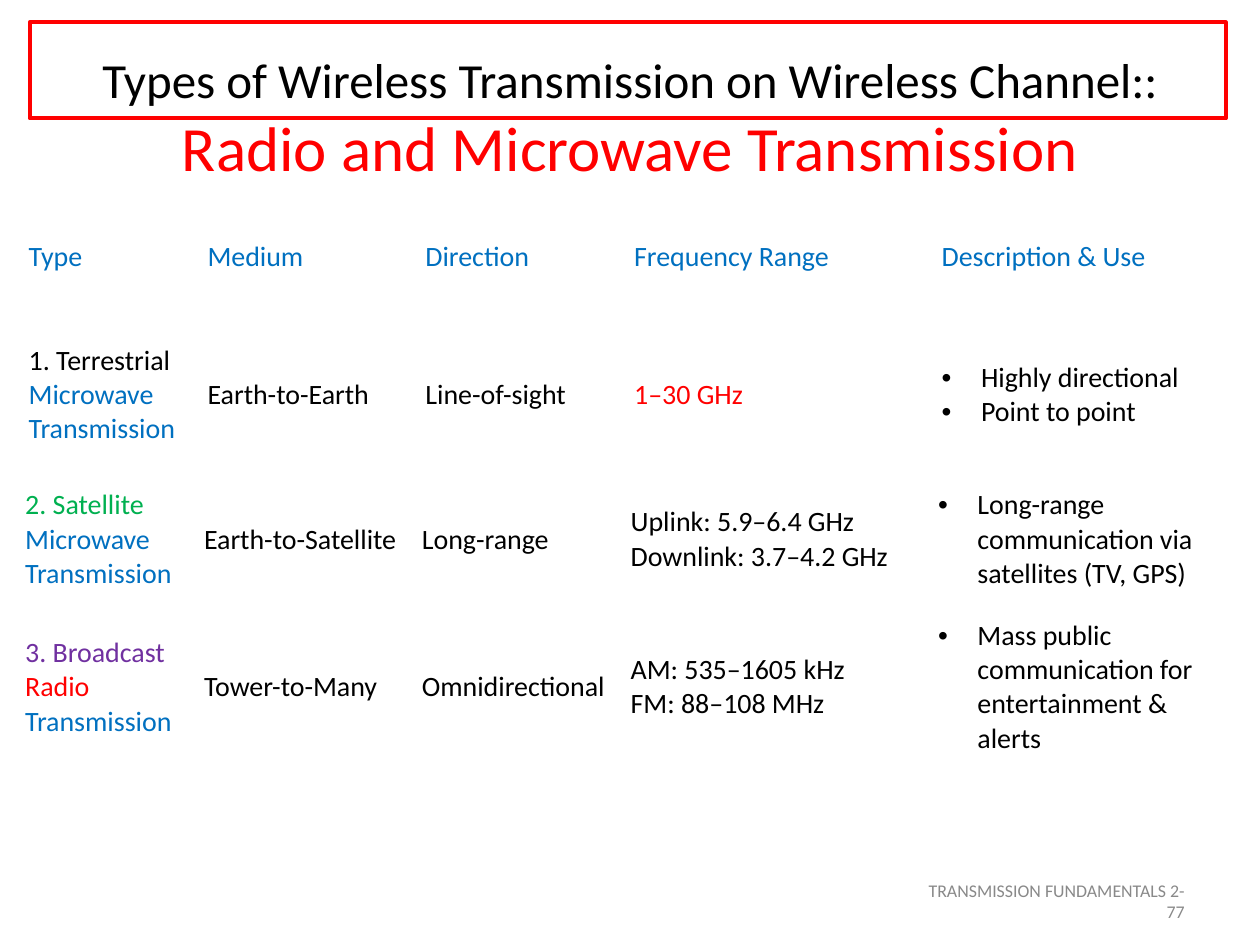
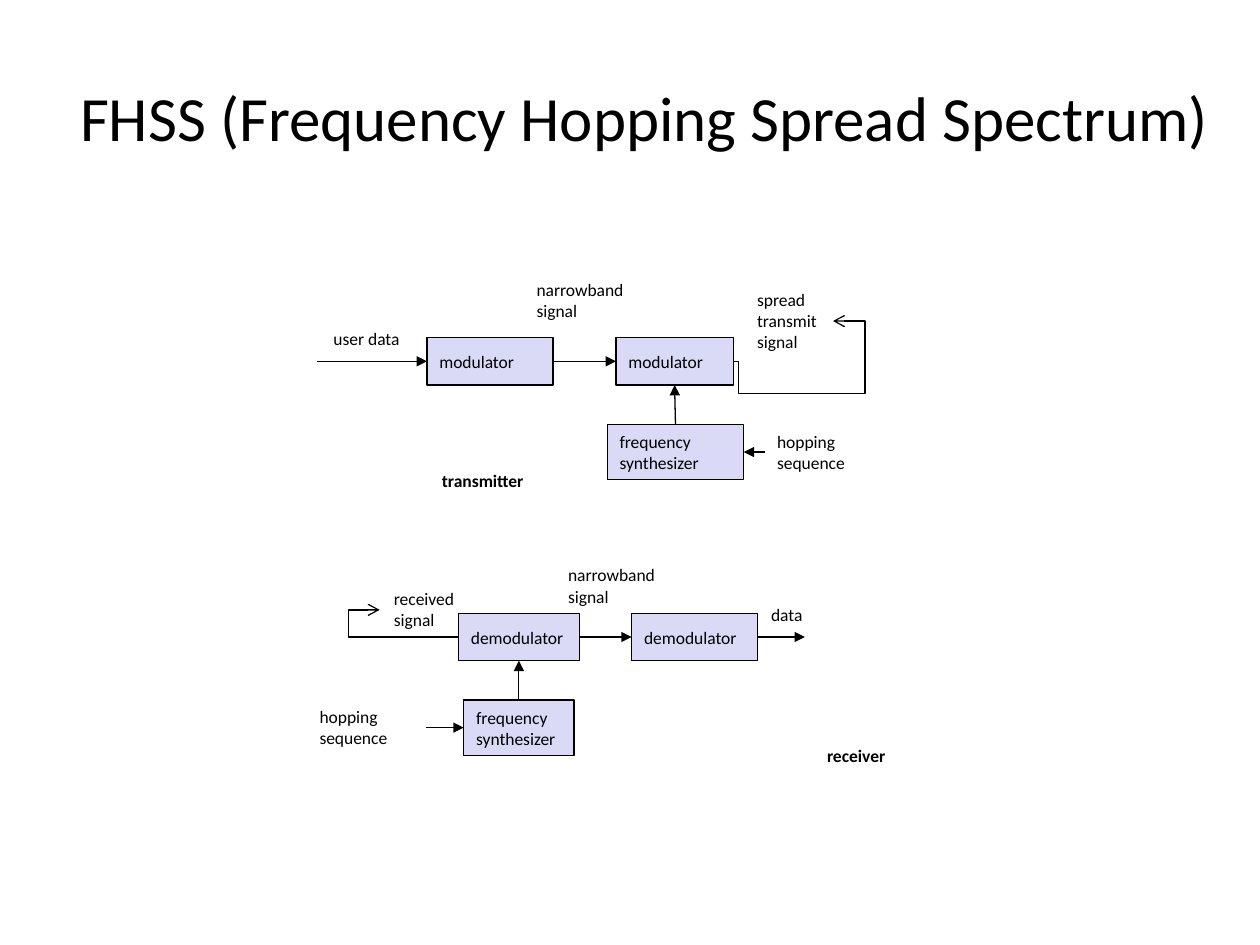
import pptx
import pptx.dml.color
import pptx.enum.shapes
import pptx.enum.text
import pptx.oxml
import pptx.oxml.ns
import pptx.util

Pt = pptx.util.Pt
RGB = pptx.dml.color.RGBColor
ANCHOR = pptx.enum.text.MSO_ANCHOR
ALIGN = pptx.enum.text.PP_ALIGN
FIT = pptx.enum.text.MSO_AUTO_SIZE
LINK = pptx.enum.shapes.MSO_CONNECTOR
RECT = pptx.enum.shapes.MSO_SHAPE.RECTANGLE

BLACK = RGB(0, 0, 0)
RED = RGB(255, 0, 0)
BLUE = RGB(0, 0x70, 0xC0)
GREEN = RGB(0, 0xB0, 0x50)
PURPLE = RGB(0x70, 0x30, 0xA0)
GRAY = RGB(0x89, 0x89, 0x89)
LILAC = RGB(0xDA, 0xDA, 0xF6)

FONT = "Calibri"
FRAME = dict(margin_left=Pt(7.2), margin_right=Pt(7.2),
             margin_top=Pt(3.6), margin_bottom=Pt(3.6))
TOP, LEFT, BOTTOM, RIGHT = 0, 1, 2, 3
COLS = (102.2, 124.5, 119.3, 175.7, 181.5)

HEADS = [[[(head, BLUE)]] for head in
         ("Type", "Medium", "Direction", "Frequency Range", "Description & Use")]


def kind(first, hue, wave, tone):
    """Return the coloured paragraphs that name a transmission type."""
    return [[(first + " ", hue), (wave, tone)], [("Transmission", BLUE)]]


def plain(text, color=BLACK):
    """Return one paragraph of one colour for each line of text."""
    return [[(line, color)] for line in text.split("\n")]


LAND = [kind("1. Terrestrial", BLACK, "Microwave", BLUE), plain("Earth-to-Earth"),
        plain("Line-of-sight"), plain("1–30 GHz", RED),
        plain("Highly directional\nPoint to point")]
SPACE = [kind("2. Satellite", GREEN, "Microwave", BLUE), plain("Earth-to-Satellite"),
         plain("Long-range"), plain("Uplink: 5.9–6.4 GHz\nDownlink: 3.7–4.2 GHz"),
         plain("Long-range communication via satellites (TV, GPS)")]
CAST = [kind("3. Broadcast", PURPLE, "Radio", RED), plain("Tower-to-Many"),
        plain("Omnidirectional"), plain("AM: 535–1605 kHz\nFM: 88–108 MHz"),
        plain("Mass public communication for entertainment & alerts")]


def style(item, **values):
    """Set each named attribute of an item."""
    for name, value in values.items():
        setattr(item, name, value)


def extend(parent, tag, **values):
    """Append a DrawingML element with the given attributes."""
    node = pptx.oxml.parse_xml(f"<a:{tag} {pptx.oxml.ns.nsdecls('a')}/>")
    for name, value in values.items():
        node.set(name, str(value))
    parent.append(node)
    return node


def bullet(para):
    """Give a paragraph a black dot and a hanging indent."""
    props = para._p.get_or_add_pPr()
    props.set("marL", str(Pt(22.5)))
    props.set("indent", str(-Pt(22.5)))
    extend(extend(props, "buClr"), "srgbClr", val=BLACK)
    extend(props, "buFont", typeface="Arial")
    extend(props, "buChar", char="•")


def write(frame, paras, size, bold=False, align=ALIGN.LEFT, dots=False):
    """Fill a text frame with paragraphs of coloured runs."""
    for num, runs in enumerate(paras):
        para = frame.add_paragraph() if num else frame.paragraphs[0]
        para.alignment = align
        if dots:
            bullet(para)
        for text, color in runs:
            run = para.add_run()
            run.text = text
            style(run.font, name=FONT, size=Pt(size), bold=bold)
            run.font.color.rgb = color


def title(slide, box, lines):
    """Place the title and write its lines, each with a size and colour."""
    shape = slide.shapes.title
    style(shape, **dict(zip(("left", "top", "width", "height"), map(Pt, box))))
    frame = shape.text_frame
    style(frame, vertical_anchor=ANCHOR.MIDDLE, auto_size=FIT.NONE, **FRAME)
    para = frame.paragraphs[0]
    para.alignment = ALIGN.CENTER
    for num, (text, size, color) in enumerate(lines):
        if num:
            para.add_line_break()
        run = para.add_run()
        run.text = text
        style(run.font, name=FONT, size=Pt(size))
        run.font.color.rgb = color


def footer(slide, box):
    """Write the chapter and page number at the lower right."""
    frame = slide.shapes.add_textbox(*map(Pt, box)).text_frame
    style(frame, word_wrap=True, vertical_anchor=ANCHOR.MIDDLE, **FRAME)
    write(frame, plain("TRANSMISSION FUNDAMENTALS 2-77", GRAY), 10.2, align=ALIGN.RIGHT)


def border(slide, box):
    """Draw the red outline behind the first title line."""
    shape = slide.shapes.add_shape(RECT, *map(Pt, box))
    shape.shadow.inherit = False
    shape.fill.background()
    shape.line.color.rgb = RED
    shape.line.width = Pt(2.25)


def grid(slide, spot, rows, highs):
    """Place a table without fills, its last column bulleted below the heads."""
    table = slide.shapes.add_table(len(rows), len(COLS), *map(Pt, spot),
                                   Pt(sum(COLS)), Pt(sum(highs))).table
    style(table, first_row=False, horz_banding=False)
    for col, wide in zip(table.columns, COLS):
        col.width = Pt(wide)
    for row, cells, high in zip(table.rows, rows, highs):
        row.height = Pt(high)
        for num, (cell, paras) in enumerate(zip(row.cells, cells)):
            cell.fill.background()
            style(cell, vertical_anchor=ANCHOR.MIDDLE, **FRAME)
            last = num == len(COLS) - 1
            write(cell.text_frame, paras, 16, dots=last and cells is not HEADS)


def tall(text):
    """Return the height of a small text block in points."""
    return 7.2 + 12.2 * (text.count("\n") + 1)


def label(slide, box, x, y, wide, text, bold=False, wrap=False):
    """Place a small caption relative to a box."""
    shape = slide.shapes.add_textbox(Pt(box[0] + x), Pt(box[1] + y), Pt(wide), Pt(tall(text)))
    style(shape.text_frame, word_wrap=wrap, auto_size=FIT.SHAPE_TO_FIT_TEXT, **FRAME)
    write(shape.text_frame, plain(text), 10, bold)
    return shape


def block(slide, box, x, y, wide, text):
    """Place a lilac block relative to a box."""
    high = max(27, tall(text))
    shape = slide.shapes.add_shape(RECT, Pt(box[0] + x), Pt(box[1] + y), Pt(wide), Pt(high))
    shape.shadow.inherit = False
    shape.fill.solid()
    shape.fill.fore_color.rgb = LILAC
    shape.line.color.rgb = BLACK
    shape.line.width = Pt(0.75)
    style(shape.text_frame, word_wrap=False, vertical_anchor=ANCHOR.MIDDLE, **FRAME)
    write(shape.text_frame, plain(text), 10)
    return shape


def wire(slide, box, start, end, form=LINK.STRAIGHT, tip=("tailEnd", "triangle")):
    """Draw an arrow between offsets in a box or (shape, side) pairs."""
    frees = [isinstance(stop[0], (int, float)) for stop in (start, end)]
    spots = [Pt(base + move) for stop, free in zip((start, end), frees)
             for base, move in zip(box, stop if free else (0, 0))]
    line = slide.shapes.add_connector(form, *spots)
    for stop, free, join in zip((start, end), frees, (line.begin_connect, line.end_connect)):
        if not free:
            join(*stop)
    line.line.color.rgb = BLACK
    line.line.width = Pt(0.75)
    extend(line.line._get_or_add_ln(), tip[0], type=tip[1])
    extend(line._element.spPr, "effectLst")
    return line


def bend(slide, box, start, end, tip, turns):
    """Draw an elbow arrow whose turns are fractions of its size."""
    line = wire(slide, box, start, end, LINK.ELBOW, (tip, "arrow"))
    geom = line._element.spPr.find(pptx.oxml.ns.qn("a:prstGeom"))
    geom.set("prst", f"bentConnector{len(turns) + 2}")
    for node in list(geom):
        geom.remove(node)
    guides = extend(geom, "avLst")
    for num, turn in enumerate(turns, 1):
        extend(guides, "gd", name=f"adj{num}", fmla=f"val {round(turn * 100000)}")


def sender(slide, box):
    """Draw the transmitter chain."""
    first = block(slide, box, 64, 38, 72, "modulator")
    second = block(slide, box, 172, 38, 67, "modulator")
    synth = block(slide, box, 167, 87.5, 78, "frequency\nsynthesizer")
    hop = label(slide, box, 257, 87.5, 89, "hopping\nsequence", wrap=True)
    label(slide, box, 3.5, 29, 56, "user data")
    label(slide, box, 119.5, 1, 68, "narrowband\nsignal")
    label(slide, box, 245.5, 6.5, 54, "spread\ntransmit\nsignal")
    label(slide, box, 65.5, 110, 66, "transmitter", bold=True)
    wire(slide, box, (1, 51.5), (first, LEFT))
    wire(slide, box, (first, RIGHT), (second, LEFT))
    wire(slide, box, (synth, TOP), (second, BOTTOM))
    wire(slide, box, (hop, LEFT), (synth, RIGHT))
    bend(slide, box, (239, 51.5), (296, 28.5), "tailEnd", (0.05, -0.8, 1.32))


def taker(slide, box):
    """Draw the receiver chain."""
    first = block(slide, box, 87, 31.5, 69, "demodulator")
    second = block(slide, box, 186, 31.5, 72, "demodulator")
    synth = block(slide, box, 90, 81, 63, "frequency\nsynthesizer")
    hop = label(slide, box, 0.5, 81, 68, "hopping\nsequence", wrap=True)
    label(slide, box, 43, 13.5, 54, "received\nsignal")
    label(slide, box, 142.5, 0, 68, "narrowband\nsignal")
    label(slide, box, 258.5, 22.5, 38, "data")
    label(slide, box, 290.5, 103, 54, "receiver", bold=True)
    wire(slide, box, (first, RIGHT), (second, LEFT))
    wire(slide, box, (second, RIGHT), (285, 45))
    wire(slide, box, (synth, TOP), (first, BOTTOM))
    wire(slide, box, (hop, RIGHT), (synth, LEFT))
    bend(slide, box, (42, 29.5), (87, 45), "headEnd", (-0.4,))


def main():
    """Build both slides and save the deck."""
    deck = pptx.Presentation()
    style(deck, slide_width=Pt(720), slide_height=Pt(540))
    types, hops = (deck.slides.add_slide(deck.slide_layouts[5]) for _ in range(2))

    title(types, (36, 21.6, 648, 90),
          [("Types of Wireless Transmission on Wireless Channel::", 28, BLACK),
           ("Radio and Microwave Transmission", 36, RED)])
    footer(types, (516, 500.5, 168, 28.8))
    grid(types, (7.2, 338), [CAST], [109.5])
    grid(types, (9.2, 122.5), [HEADS, LAND], [48.5, 109.5])
    grid(types, (7.2, 263.5), [SPACE], [89.5])
    border(types, (17, 12.75, 683.5, 55))

    title(hops, (36, 21.6, 664.5, 90),
          [("FHSS (Frequency Hopping Spread Spectrum)", 36, BLACK)])
    sender(hops, (180, 155))
    taker(hops, (175, 319))
    deck.save("out.pptx")


if __name__ == "__main__":
    main()
